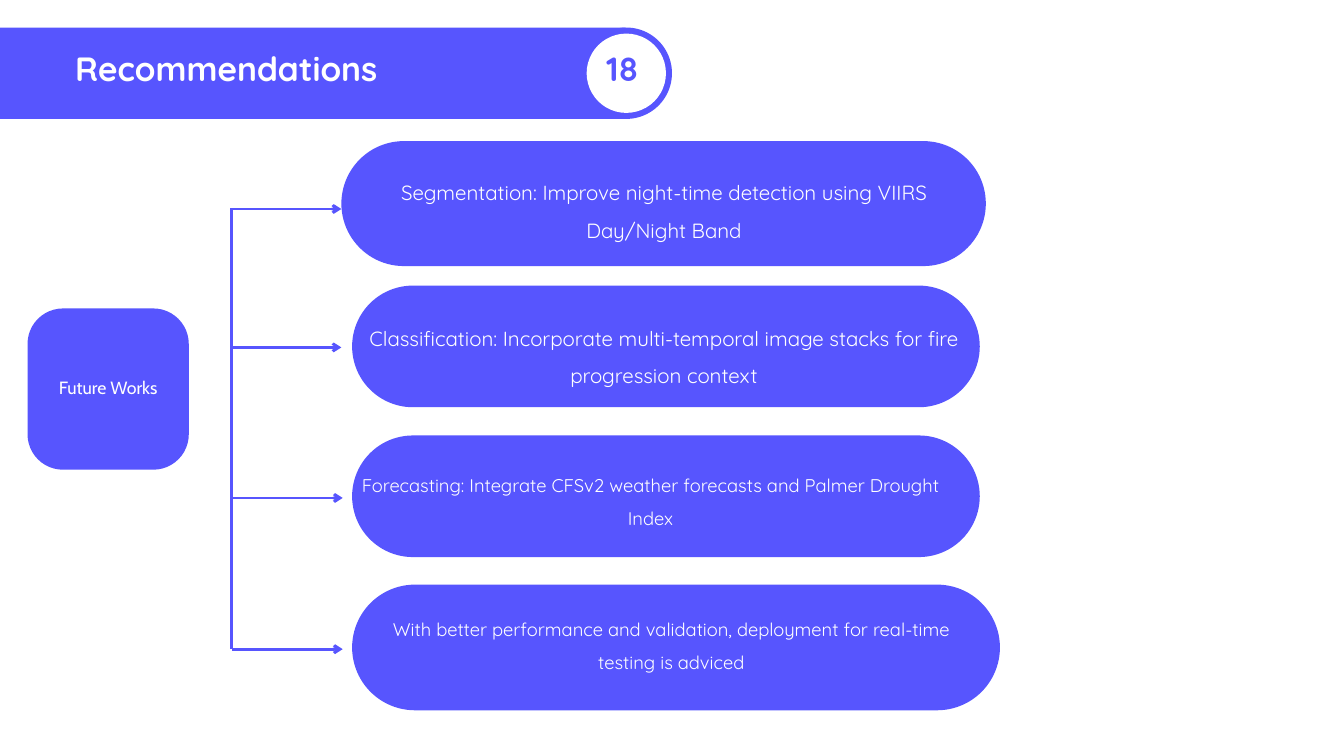
from dataclasses import dataclass

from lxml.etree import SubElement
from pptx import Presentation
from pptx.dml.color import RGBColor
from pptx.enum.shapes import MSO_CONNECTOR, MSO_SHAPE
from pptx.enum.text import MSO_ANCHOR, PP_ALIGN
from pptx.oxml.ns import qn
from pptx.util import Inches, Pt


@dataclass(frozen=True)
class Theme:
    violet: RGBColor = RGBColor(0x57, 0x55, 0xFE)
    white: RGBColor = RGBColor(0xFF, 0xFF, 0xFF)
    font: str = "Quicksand"
    root_font: str = "Cabin"
    title_size: float = 36
    large_size: float = 22
    small_size: float = 19.7
    root_size: float = 19
    line_width: float = 3


THEME = Theme()

TITLE = "Recommendations"
PAGE_NUMBER = "18"
ROOT = "Future Works"

# Places are left, top, width, height in inches.
RECOMMENDATIONS = [
    dict(text="Segmentation: Improve night-time detection using VIIRS Day/Night Band",
         pill=(5.08, 2.1, 9.59, 1.86), text_at=(5.39, 2.5, 8.98, 1.64),
         size=THEME.large_size, spacing=39.7, arrow=(3.43, 3.11)),
    dict(text="Classification: Incorporate multi-temporal image stacks for fire progression context",
         pill=(5.24, 4.25, 9.34, 1.81), text_at=(5.39, 4.66, 8.98, 1.09),
         size=THEME.large_size, spacing=39.7, arrow=(3.43, 5.17)),
    dict(text="Forecasting: Integrate CFSv2 weather forecasts and Palmer Drought Index",
         pill=(5.24, 6.48, 9.34, 1.81), text_at=(5.31, 6.89, 8.74, 0.97),
         size=THEME.small_size, spacing=35.4, arrow=(3.45, 7.41)),
    dict(text="With better performance and validation, deployment for real-time testing is adviced",
         pill=(5.24, 8.7, 9.64, 1.87), text_at=(5.62, 9.03, 8.74, 0.97),
         size=THEME.small_size, spacing=35.4, arrow=(3.45, 9.66)),
]
TRUNK_X = 3.45
ARROW_LENGTH = 1.65


def inches(values):
    return [Inches(value) for value in values]


def add_block(page, preset, place, color, rounding=None):
    block = page.shapes.add_shape(preset, *inches(place))
    block.shadow.inherit = False
    block.fill.solid()
    block.fill.fore_color.rgb = color
    block.line.fill.background()
    if rounding is not None:
        block.adjustments[0] = rounding
    return block


def write(frame, text, size, spacing, color=THEME.white, font=THEME.font,
          align=PP_ALIGN.CENTER, bold=False, margins=(0, 0, 0, 0)):
    """Fill a text frame with one paragraph; margins are left, top, right, bottom."""
    frame.word_wrap = True
    (frame.margin_left, frame.margin_top,
     frame.margin_right, frame.margin_bottom) = inches(margins)
    para = frame.paragraphs[0]
    para.text = text
    para.alignment = align
    para.line_spacing = Pt(spacing)
    para.font.name = font
    para.font.size = Pt(size)
    para.font.bold = bold
    para.font.color.rgb = color


def add_text(page, place, text, size, spacing, **style):
    box = page.shapes.add_textbox(*inches(place))
    write(box.text_frame, text, size, spacing, **style)


def add_line(page, start, end, arrow=False):
    line = page.shapes.add_connector(MSO_CONNECTOR.STRAIGHT, *inches(start + end))
    line.line.color.rgb = THEME.violet
    line.line.width = Pt(THEME.line_width)
    properties = line._element.spPr
    if arrow:
        SubElement(properties.find(qn("a:ln")), qn("a:tailEnd"), type="arrow")
    SubElement(properties, qn("a:effectLst"))


def add_header(page):
    add_block(page, MSO_SHAPE.RECTANGLE, (0, 0.41, 9.31, 1.36), THEME.violet)
    add_block(page, MSO_SHAPE.OVAL, (8.64, 0.41, 1.36, 1.36), THEME.violet)
    add_block(page, MSO_SHAPE.OVAL, (8.73, 0.5, 1.18, 1.18), THEME.white)
    add_text(page, (1.12, 0.71, 6.97, 0.68), TITLE, THEME.title_size, 43.2,
             align=PP_ALIGN.LEFT, bold=True)
    add_text(page, (8.84, 0.71, 0.84, 0.68), PAGE_NUMBER, THEME.title_size, 43.2,
             color=THEME.violet, bold=True)


def add_tree(page):
    root = add_block(page, MSO_SHAPE.ROUNDED_RECTANGLE, (0.41, 4.59, 2.4, 2.4),
                     THEME.violet, 0.22)
    write(root.text_frame, ROOT, THEME.root_size, 26.6, font=THEME.root_font,
          margins=(0.06, 0.06, 0.06, 0.17))
    root.text_frame.vertical_anchor = MSO_ANCHOR.MIDDLE

    first_y, last_y = (RECOMMENDATIONS[i]["arrow"][1] for i in (0, -1))
    add_line(page, (TRUNK_X, last_y), (TRUNK_X, first_y))

    for item in RECOMMENDATIONS:
        add_block(page, MSO_SHAPE.ROUNDED_RECTANGLE, item["pill"], THEME.violet, 0.5)
        x, y = item["arrow"]
        add_line(page, (x, y), (x + ARROW_LENGTH, y), arrow=True)
        add_text(page, item["text_at"], item["text"], item["size"], item["spacing"])


def main():
    deck = Presentation()
    deck.slide_width, deck.slide_height = Inches(20), Inches(11.25)
    page = deck.slides.add_slide(deck.slide_layouts[6])
    add_header(page)
    add_tree(page)
    deck.save("out.pptx")


if __name__ == "__main__":
    main()
